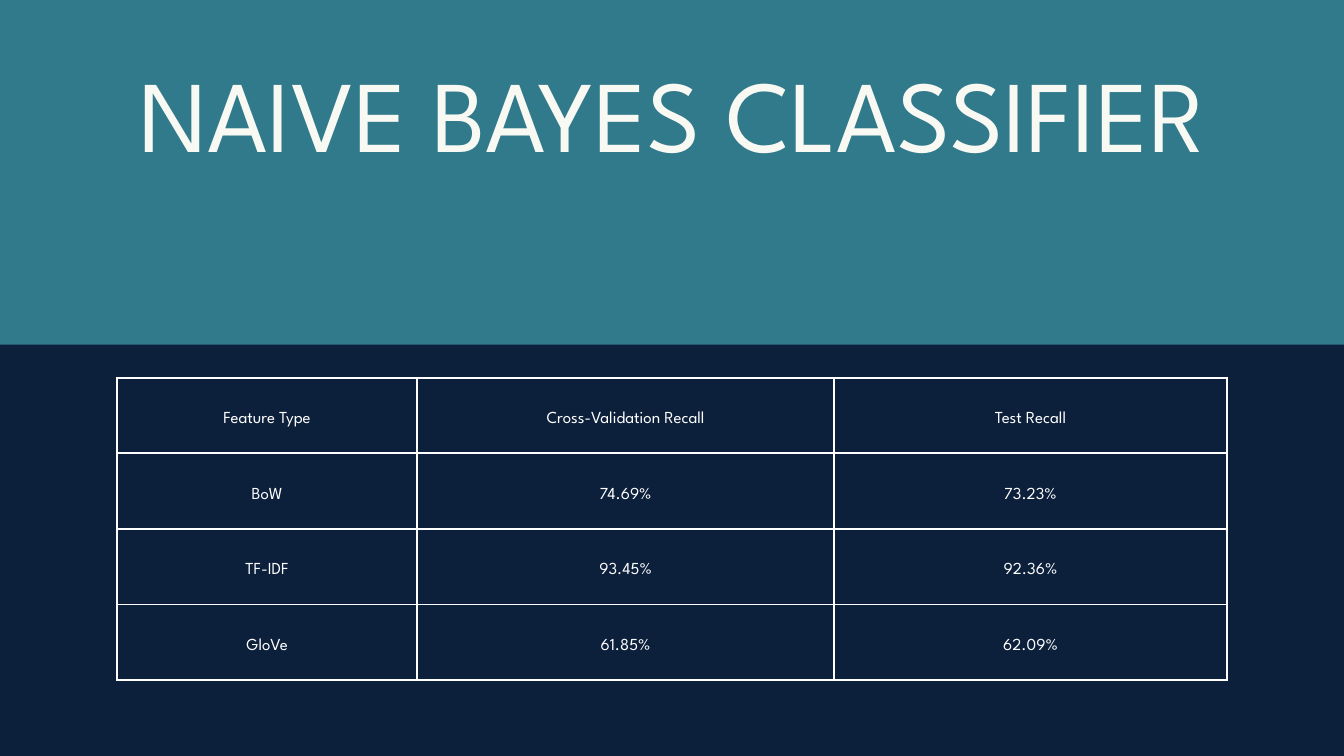
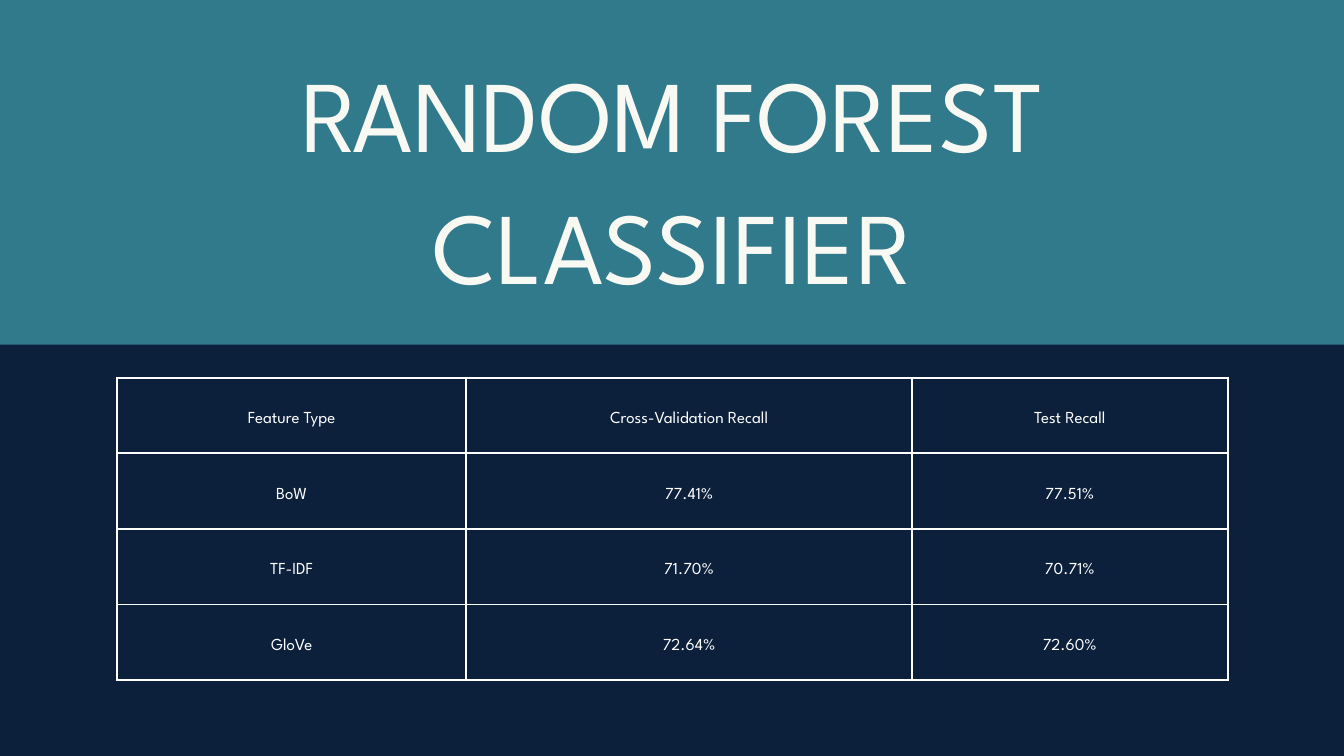
from dataclasses import dataclass

import lxml.etree
import pptx
import pptx.dml.color
import pptx.enum.shapes
import pptx.enum.text
import pptx.oxml.ns
import pptx.util

Inches = pptx.util.Inches
Pt = pptx.util.Pt


@dataclass(frozen=True)
class Theme:
    background: str = "0D203B"
    band: str = "317A8B"
    title: str = "F9F9F4"
    table: str = "FFFFFF"
    font: str = "League Spartan"
    title_size: float = 109
    title_spacing: float = 141.7
    table_size: float = 18
    table_spacing: float = 25.2
    border_width: float = 2.25


THEME = Theme()
MARGIN = 1.74
CONTENT_WIDTH = 16.53
TABLE_TOP = 5.62
TABLE_HEIGHT = 4.5
CELL_INSET = 0.21

HEADER = ("Feature Type", "Cross-Validation Recall", "Test Recall")
CLASSIFIERS = (
    ("NAIVE BAYES CLASSIFIER", (4.47, 6.2, 5.85), (
        ("BoW", "74.69%", "73.23%"),
        ("TF-IDF", "93.45%", "92.36%"),
        ("GloVe", "61.85%", "62.09%"),
    )),
    ("RANDOM FOREST CLASSIFIER", (5.2, 6.63, 4.7), (
        ("BoW", "77.41%", "77.51%"),
        ("TF-IDF", "71.70%", "70.71%"),
        ("GloVe", "72.64%", "72.60%"),
    )),
)


def set_fill(fill, color):
    fill.solid()
    fill.fore_color.rgb = pptx.dml.color.RGBColor.from_string(color)


def write_centred(text_frame, text, size, spacing, color):
    paragraph = text_frame.paragraphs[0]
    paragraph.alignment = pptx.enum.text.PP_ALIGN.CENTER
    paragraph.line_spacing = Pt(spacing)
    run = paragraph.add_run()
    run.text = text
    run.font.name = THEME.font
    run.font.size = Pt(size)
    run.font.color.rgb = pptx.dml.color.RGBColor.from_string(color)


def add_band(slide):
    """Add the title band, which bleeds past the slide's edges."""
    band = slide.shapes.add_shape(
        pptx.enum.shapes.MSO_SHAPE.RECTANGLE,
        Inches(-1.98), Inches(-0.91), Inches(26.04), Inches(6.04))
    band.shadow.inherit = False
    set_fill(band.fill, THEME.band)
    band.line.fill.background()


def add_title(slide, text):
    box = slide.shapes.add_textbox(
        Inches(MARGIN), Inches(0.6), Inches(CONTENT_WIDTH), Inches(3.87))
    frame = box.text_frame
    frame.word_wrap = True
    frame.margin_left = frame.margin_right = 0
    frame.margin_top = frame.margin_bottom = 0
    write_centred(frame, text, THEME.title_size, THEME.title_spacing, THEME.title)


def set_borders(cell):
    """Outline a cell; border elements must stand before its fill."""
    qn = pptx.oxml.ns.qn
    properties = cell._tc.get_or_add_tcPr()
    for index, side in enumerate(("lnL", "lnR", "lnT", "lnB")):
        line = lxml.etree.Element(qn(f"a:{side}"), w=str(Pt(THEME.border_width)))
        solid = lxml.etree.SubElement(line, qn("a:solidFill"))
        lxml.etree.SubElement(solid, qn("a:srgbClr"), val=THEME.table)
        properties.insert(index, line)


def fill_cell(cell, text):
    cell.vertical_anchor = pptx.enum.text.MSO_ANCHOR.MIDDLE
    cell.margin_left = cell.margin_right = Inches(CELL_INSET)
    cell.margin_top = cell.margin_bottom = Inches(CELL_INSET)
    cell.fill.background()
    set_borders(cell)
    write_centred(cell.text_frame, text, THEME.table_size,
                  THEME.table_spacing, THEME.table)


def add_recall_table(slide, column_widths, scores):
    rows = (HEADER, *scores)
    table = slide.shapes.add_table(
        len(rows), len(HEADER), Inches(MARGIN), Inches(TABLE_TOP),
        Inches(CONTENT_WIDTH), Inches(TABLE_HEIGHT)).table
    table.first_row = False
    table.horz_banding = False
    for column, width in zip(table.columns, column_widths):
        column.width = Inches(width)
    for row, texts in zip(table.rows, rows):
        row.height = Inches(TABLE_HEIGHT / len(rows))
        for cell, text in zip(row.cells, texts):
            fill_cell(cell, text)


def add_classifier_slide(presentation, title, column_widths, scores):
    slide = presentation.slides.add_slide(presentation.slide_layouts[6])
    set_fill(slide.background.fill, THEME.background)
    add_band(slide)
    add_recall_table(slide, column_widths, scores)
    add_title(slide, title)


def main():
    presentation = pptx.Presentation()
    presentation.slide_width = Inches(20)
    presentation.slide_height = Inches(11.25)
    for title, column_widths, scores in CLASSIFIERS:
        add_classifier_slide(presentation, title, column_widths, scores)
    presentation.save("out.pptx")


if __name__ == "__main__":
    main()
